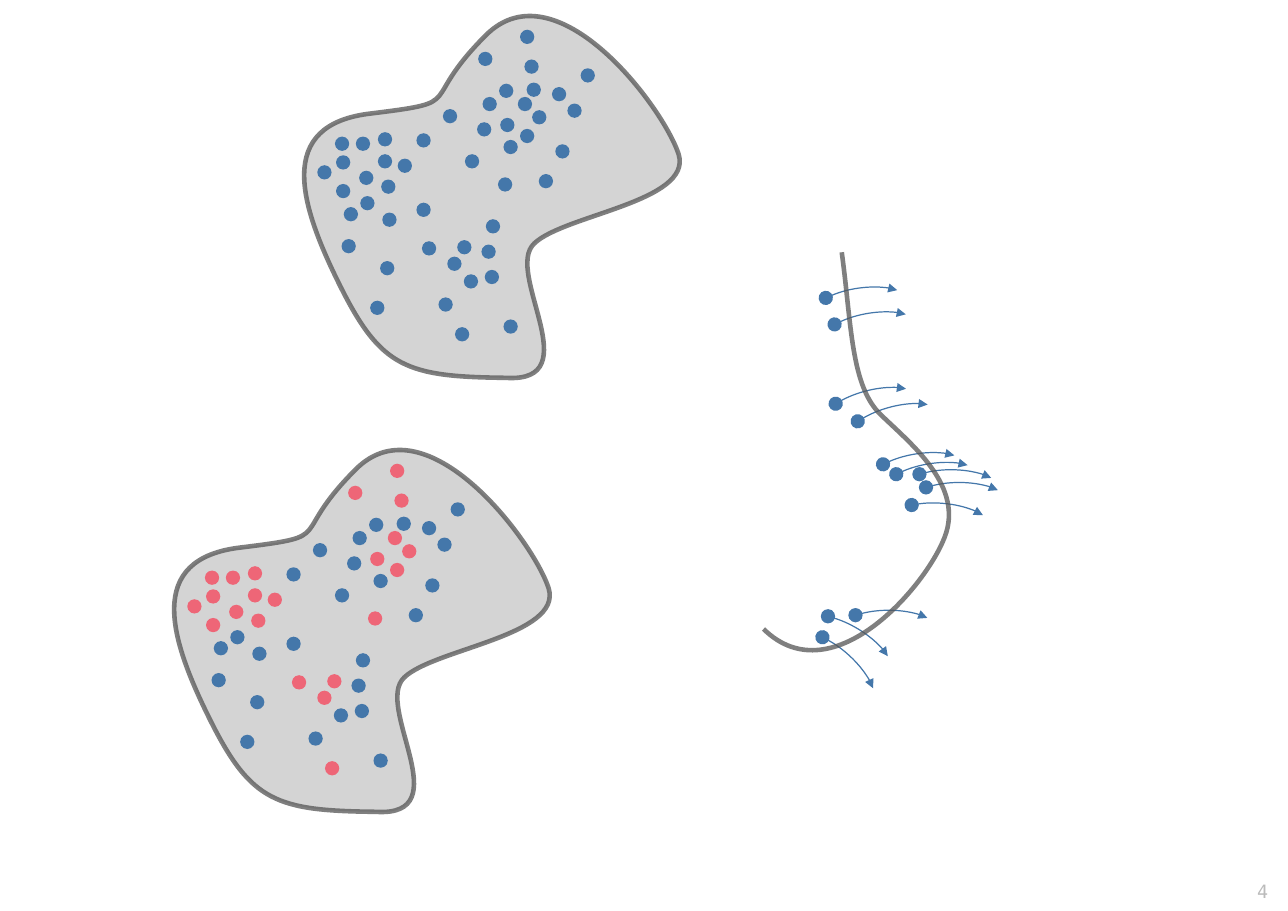
import math

from lxml import etree
from pptx import Presentation
from pptx.dml.color import RGBColor
from pptx.enum import shapes, text
from pptx.oxml import ns
from pptx.util import Inches, Pt

BLUE = RGBColor(0x44, 0x77, 0xAA)
RED = RGBColor(0xEE, 0x66, 0x77)
GRAY = RGBColor(0x55, 0x55, 0x55)
PALE = RGBColor(0xBB, 0xBB, 0xBB)
FONT = "DejaVu Sans Mono"
PAGE_NUMBER = "4"

# Outlines: a start point, then Bézier segments of three points each.
CELL_OUTLINE = [
    (4.85, 2.21),
    (5.12, 1.95), (6.29, 1.83), (6.16, 1.40),
    (6.02, 0.97), (5.05, -0.32), (4.41, 0.32),
    (3.78, 0.95), (4.26, 0.92), (3.37, 1.03),
    (2.49, 1.13), (2.72, 1.86), (3.09, 2.60),
    (3.46, 3.34), (3.69, 3.42), (4.59, 3.43),
    (5.36, 3.48), (4.57, 2.47), (4.85, 2.21),
]
MEMBRANE = [
    (7.64, 2.29),
    (7.73, 2.94), (7.72, 3.51), (8.00, 3.77),
    (8.27, 4.03), (8.72, 4.39), (8.59, 4.83),
    (8.46, 5.26), (7.57, 6.34), (6.93, 5.71),
]
# Left, top, width and height that each curve fills.
CELL_BOX = (2.76, 0.14, 3.40, 3.28)
MEMBRANE_BOX = (6.93, 2.29, 1.68, 3.62)

# Left and top of each dot in the upper cell; the lower cell highlights one set.
PLAIN_DOTS = [
    (4.22, 1.40), (5.04, 1.31), (5.15, 0.94), (4.89, 1.58), (4.41, 1.99),
    (4.40, 2.45), (3.98, 2.70), (3.36, 2.73), (3.10, 2.17), (3.45, 2.37),
    (3.78, 1.84), (3.78, 1.21), (4.38, 0.88), (4.57, 2.90), (3.27, 1.78),
    (3.47, 1.93), (3.12, 1.88), (4.57, 1.27), (4.33, 1.11), (4.53, 0.76),
    (4.78, 0.75), (5.01, 0.79), (4.02, 0.99), (5.27, 0.62), (4.37, 2.22),
    (4.21, 2.49),
]
HIGHLIGHTED_DOTS = [
    (3.43, 1.40), (3.83, 2.19), (4.72, 1.17), (4.76, 0.54), (4.70, 0.88),
    (4.52, 1.61), (4.13, 2.97), (4.06, 2.33), (3.05, 1.67), (3.05, 1.41),
    (3.23, 1.24), (3.26, 1.55), (3.46, 1.63), (2.88, 1.50), (3.04, 1.24),
    (3.43, 1.20), (3.61, 1.44), (4.54, 1.07), (4.83, 1.00), (4.72, 0.27),
    (4.34, 0.47), (4.15, 2.18),
]
# Shift from the upper cell, then the colour of the highlighted dots.
UPPER_CELL = ((0, 0), BLUE)
LOWER_CELL = ((-1.18, 3.94), RED)

# Left and top of each crossing dot, and the turn of its arrow in degrees.
CROSSINGS = [
    (7.43, 2.64, -8.4), (7.51, 2.88, -10.2), (7.52, 3.60, -14.2),
    (7.72, 3.76, -15.7), (7.95, 4.15, -9.3), (8.07, 4.24, -9.4),
    (8.28, 4.24, 0.8), (8.34, 4.36, 0), (8.21, 4.52, 5.9),
    (7.70, 5.52, 0), (7.40, 5.72, 43.1), (7.45, 5.53, 31.5),
]
DOT = 0.13
ARC_SIZE = (0.90, 0.37)
ARC_OFFSET = (0.30, 0.14)  # dot centre to arc centre, before turning
ARC_ANGLES = (12.163, 97.089)


def set_opacity(color_parent, percent):
    color = color_parent.find(".//" + ns.qn("a:srgbClr"))
    etree.SubElement(color, ns.qn("a:alpha"), val=str(percent * 1000))


def write_curve(shape, outline, left, top, closed):
    """Replace the shape's straight outline by Bézier segments."""
    curve = next(shape._element.iter(ns.qn("a:path")))
    for command in list(curve):
        curve.remove(command)
    segments = [("a:moveTo", outline[:1])]
    for first in range(1, len(outline), 3):
        segments.append(("a:cubicBezTo", outline[first:first + 3]))
    for tag, points in segments:
        command = etree.SubElement(curve, ns.qn(tag))
        for x, y in points:
            etree.SubElement(command, ns.qn("a:pt"),
                             x=str(Inches(x - left)), y=str(Inches(y - top)))
    if closed:
        etree.SubElement(curve, ns.qn("a:close"))


def add_outline(page, outline, box, shift=(0, 0), closed=False):
    left, top, width, height = box
    x, y = Inches(left + shift[0]), Inches(top + shift[1])
    builder = page.shapes.build_freeform(x, y, scale=1.0)
    builder.add_line_segments([(x + Inches(width), y + Inches(height))], close=False)
    shape = builder.convert_to_shape()
    write_curve(shape, outline, left, top, closed)
    shape.shadow.inherit = False
    if closed:
        shape.fill.solid()
        shape.fill.fore_color.rgb = GRAY
        set_opacity(shape.fill._xPr.find(ns.qn("a:solidFill")), 25)
    else:
        shape.fill.background()
    shape.line.color.rgb = GRAY
    shape.line.width = Pt(3)
    set_opacity(shape.line._ln, 75)


def add_dot(parent, x, y, color):
    dot = parent.shapes.add_shape(
        shapes.MSO_SHAPE.OVAL, Inches(x), Inches(y), Inches(DOT), Inches(DOT))
    dot.shadow.inherit = False
    dot.fill.solid()
    dot.fill.fore_color.rgb = color
    dot.line.fill.background()
    return dot


def add_cell(page, shift, highlight):
    add_outline(page, CELL_OUTLINE, CELL_BOX, shift, closed=True)
    for dots, color in ((PLAIN_DOTS, BLUE), (HIGHLIGHTED_DOTS, highlight)):
        for x, y in dots:
            add_dot(page, x + shift[0], y + shift[1], color)


def add_crossing(page, x, y, turn):
    """Group a dot with the curved arrow that leads away from it."""
    group = page.shapes.add_group_shape()
    add_dot(group, x, y, BLUE).rotation = turn
    cos, sin = math.cos(math.radians(turn)), math.sin(math.radians(turn))
    dx, dy = ARC_OFFSET
    width, height = ARC_SIZE
    left = x + DOT / 2 + dx * cos - dy * sin - width / 2
    top = y + DOT / 2 + dx * sin + dy * cos - height / 2
    arc = group.shapes.add_shape(
        shapes.MSO_SHAPE.ARC, Inches(left), Inches(top), Inches(width), Inches(height))
    arc.adjustments[0], arc.adjustments[1] = ARC_ANGLES
    arc.rotation = 180 + turn
    arc.shadow.inherit = False
    arc.fill.background()
    arc.line.color.rgb = BLUE
    arc.line.width = Pt(0.79)
    etree.SubElement(arc.line._ln, ns.qn("a:tailEnd"), type="triangle")


def add_page_number(page):
    box = page.shapes.add_textbox(Inches(10.61), Inches(7.94), Inches(1), Inches(0.29))
    box.text_frame.word_wrap = True
    para = box.text_frame.paragraphs[0]
    para.text = PAGE_NUMBER
    para.alignment = text.PP_ALIGN.RIGHT
    para.font.name = FONT
    para.font.size = Pt(12)
    para.font.color.rgb = PALE


def main():
    deck = Presentation()
    deck.slide_width, deck.slide_height = Inches(11.69), Inches(8.27)
    page = deck.slides.add_slide(deck.slide_layouts[6])
    add_page_number(page)
    add_cell(page, *UPPER_CELL)
    for crossing in CROSSINGS:
        add_crossing(page, *crossing)
    add_outline(page, MEMBRANE, MEMBRANE_BOX)
    add_cell(page, *LOWER_CELL)
    deck.save("out.pptx")


if __name__ == "__main__":
    main()
